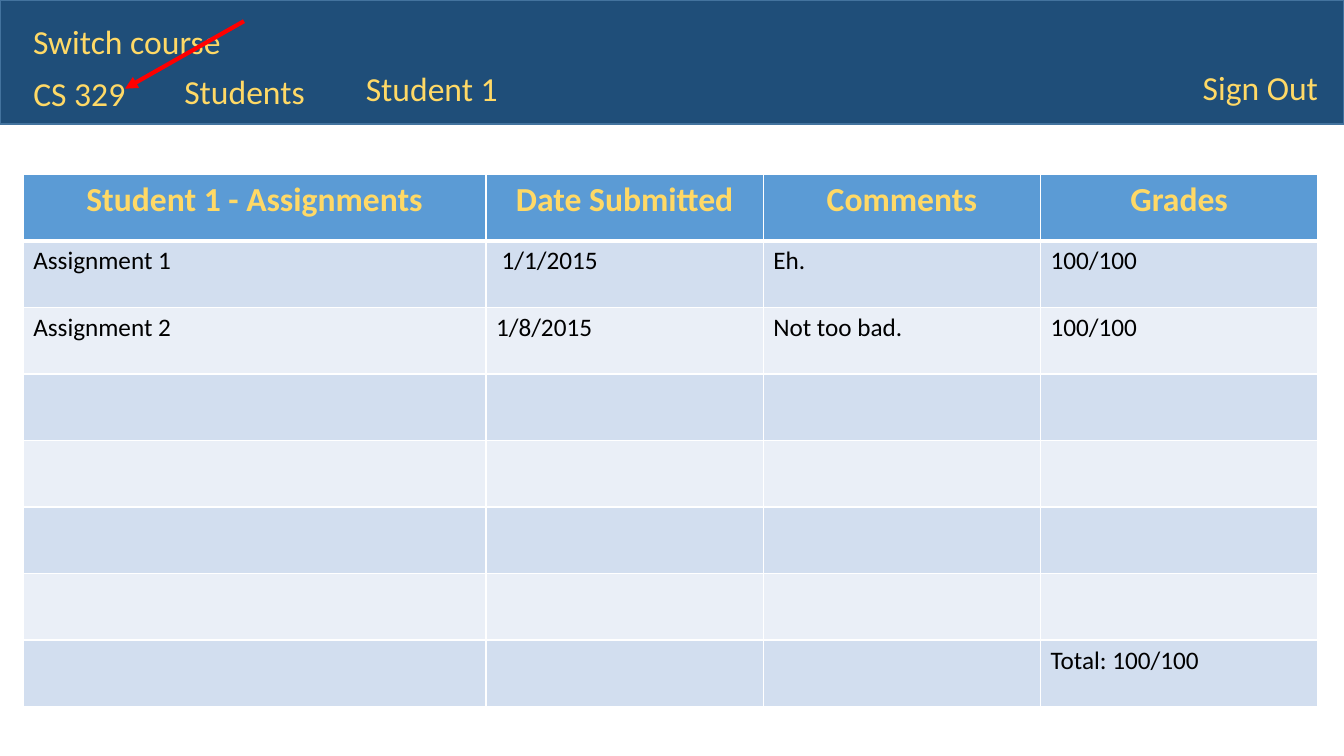
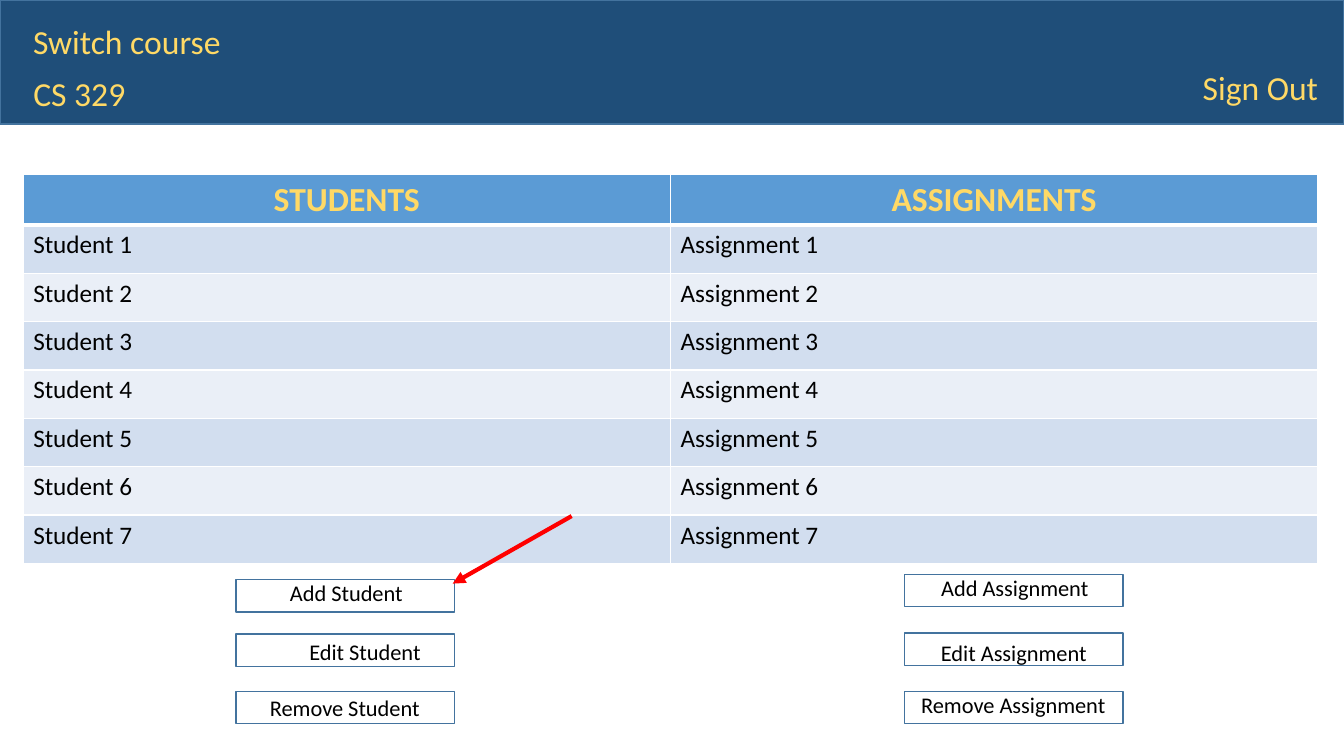
import pptx
import pptx.util
import pptx.dml.color
import pptx.enum.shapes
import pptx.enum.text
import pptx.oxml
import pptx.oxml.ns
from dataclasses import dataclass

Inches = pptx.util.Inches
Pt = pptx.util.Pt
RGBColor = pptx.dml.color.RGBColor
Align = pptx.enum.text.PP_ALIGN


@dataclass
class Theme:
    font: str = "Calibri"
    navy: str = "1F4E79"
    outline: str = "43739E"
    gold: str = "FFD966"
    header: str = "5B9BD5"
    bands: tuple = ("D2DEEF", "EAEFF7")
    black: str = "000000"
    white: str = "FFFFFF"
    red: str = "FF0000"
    heading_size: int = 24
    cell_size: int = 18
    button_size: int = 16


theme = Theme()


def color(value):
    return RGBColor.from_string(value)


def write(text_frame, text, size, text_color, align=Align.LEFT, bold=False):
    text_frame.text = text
    text_frame.word_wrap = True
    text_frame.vertical_anchor = pptx.enum.text.MSO_ANCHOR.TOP
    paragraph = text_frame.paragraphs[0]
    paragraph.alignment = align
    for run in paragraph.runs:
        run.font.name = theme.font
        run.font.size = Pt(size)
        run.font.bold = bold
        run.font.color.rgb = color(text_color)


navigation = [
    ("Sign Out", 11.83, 0.61, 1.64),
    ("Switch course", 0.23, 0.16, 2.1),
]
pages = [
    {
        "links": [("Students", 1.73, 0.65, 1.64), ("Student 1", 3.53, 0.62, 1.64)],
        "widths": [4.59, 2.75, 2.75, 2.75],
        "row_height": 0.66,
        "rows": [
            ["Student 1 - Assignments", "Date Submitted", "Comments", "Grades"],
            ["Assignment 1", " 1/1/2015", "Eh.", "100/100"],
            ["Assignment 2", "1/8/2015", "Not too bad.", "100/100"],
            *[[""] * 4 for _ in range(4)],
            ["", "", "", "Total: 100/100"],
        ],
        "buttons": [],
        "arrow": (2.42, 0.21, 1.24, 0.88),
    },
    {
        "links": [],
        "widths": [6.42, 6.42],
        "row_height": 0.48,
        "rows": [["STUDENTS", "ASSIGNMENTS"]]
        + [[f"Student {number}", f"Assignment {number}"] for number in range(1, 8)],
        "buttons": [
            ("Add Student", 2.34, 5.75, 2.37, 5.7, 2.13),
            ("Edit Student", 2.34, 6.29, 2.75, 6.28, 1.74),
            ("Remove Student", 2.34, 6.86, 2.35, 6.84, 2.14),
            ("Add Assignment", 8.97, 5.7, 8.98, 5.65, 2.17),
            ("Edit Assignment", 8.97, 6.28, 8.97, 6.29, 2.17),
            ("Remove Assignment", 8.97, 6.86, 8.96, 6.81, 2.18),
        ],
        "arrow": (5.67, 5.12, 4.49, 5.79),
    },
]

presentation = pptx.Presentation()
presentation.slide_width = Inches(13.33)
presentation.slide_height = Inches(7.5)
title_only = presentation.slide_layouts[5]
rectangle = pptx.enum.shapes.MSO_SHAPE.RECTANGLE
namespace = pptx.oxml.ns.nsdecls("a")

for page in pages:
    slide = presentation.slides.add_slide(title_only)

    band = slide.shapes.add_shape(rectangle, 0, 0, presentation.slide_width, Inches(1.23))
    band.shadow.inherit = False
    band.fill.solid()
    band.fill.fore_color.rgb = color(theme.navy)
    band.line.color.rgb = color(theme.outline)
    band.line.width = Pt(1)

    title = slide.shapes.title
    title.element.addprevious(band.element)
    title.left, title.top = Inches(0.23), Inches(0.67)
    title.width, title.height = Inches(1.64), Inches(0.5)
    write(title.text_frame, "CS 329", theme.heading_size, theme.gold)

    for text, left, top, width in navigation + page["links"]:
        label = slide.shapes.add_textbox(Inches(left), Inches(top), Inches(width), Inches(0.5))
        write(label.text_frame, text, theme.heading_size, theme.gold)

    rows, widths = page["rows"], page["widths"]
    table = slide.shapes.add_table(
        len(rows), len(widths), Inches(0.23), Inches(1.73),
        Inches(sum(widths)), Inches(page["row_height"] * len(rows)),
    ).table
    for column, width in zip(table.columns, widths):
        column.width = Inches(width)
    for row_index, row in enumerate(rows):
        is_header = row_index == 0
        for column_index, text in enumerate(row):
            cell = table.cell(row_index, column_index)
            cell.fill.solid()
            if is_header:
                cell.fill.fore_color.rgb = color(theme.header)
                write(cell.text_frame, text, theme.heading_size, theme.gold, Align.CENTER, True)
            else:
                cell.fill.fore_color.rgb = color(theme.bands[(row_index - 1) % 2])
                write(cell.text_frame, text, theme.cell_size, theme.black)
            top_width = 3 if row_index == 1 else 1
            bottom_width = 3 if is_header else 1
            borders = [("L", 1), ("R", 1), ("T", top_width), ("B", bottom_width)]
            properties = cell._tc.get_or_add_tcPr()
            for position, (side, points) in enumerate(borders):
                properties.insert(position, pptx.oxml.parse_xml(
                    f'<a:ln{side} {namespace} w="{Pt(points)}"><a:solidFill>'
                    f'<a:srgbClr val="{theme.white}"/></a:solidFill></a:ln{side}>'
                ))

    for text, left, top, text_left, text_top, text_width in page["buttons"]:
        button = slide.shapes.add_shape(
            rectangle, Inches(left), Inches(top), Inches(2.17), Inches(0.32))
        button.shadow.inherit = False
        button.fill.background()
        button.line.color.rgb = color(theme.outline)
        button.line.width = Pt(1)
        caption = slide.shapes.add_textbox(
            Inches(text_left), Inches(text_top), Inches(text_width), Inches(0.37))
        write(caption.text_frame, text, theme.button_size, theme.black, Align.CENTER)

    arrow = slide.shapes.add_connector(
        pptx.enum.shapes.MSO_CONNECTOR.STRAIGHT, *[Inches(value) for value in page["arrow"]])
    arrow.line.color.rgb = color(theme.red)
    arrow.line.width = Pt(3)
    arrow.line._get_or_add_ln().append(
        pptx.oxml.parse_xml(f'<a:tailEnd {namespace} type="triangle"/>'))
    arrow.element.spPr.append(pptx.oxml.parse_xml(f"<a:effectLst {namespace}/>"))

presentation.save("out.pptx")
